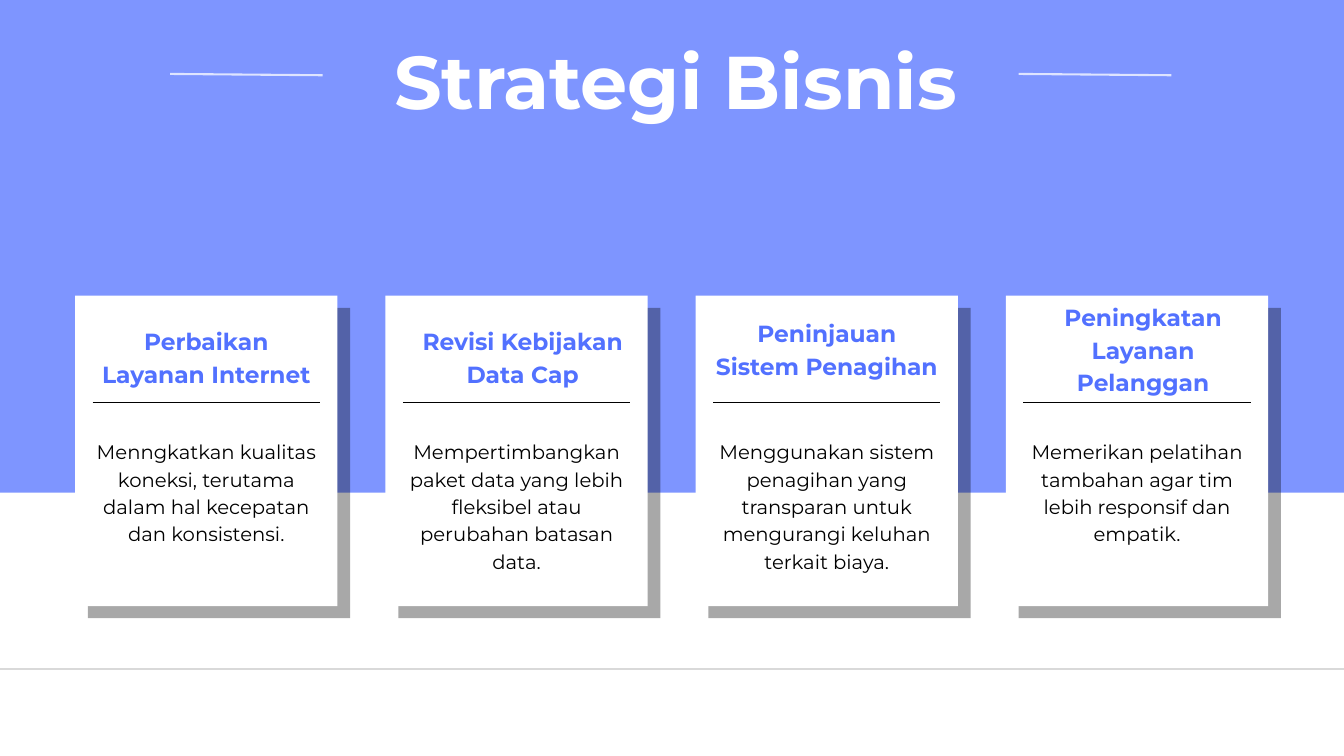
from dataclasses import dataclass

import pptx
import pptx.dml.color
import pptx.enum.shapes
import pptx.enum.text
import pptx.oxml.ns
import pptx.util
from pptx.util import Inches


@dataclass(frozen=True)
class Theme:
    """Colours, font and type sizes of the deck."""
    accent: str = "5271FF"
    paper: str = "FFFFFF"
    ink: str = "000000"
    rule: str = "D9D9D9"
    font: str = "Montserrat"
    title_size: float = 80
    heading_size: float = 25
    body_size: float = 21


THEME = Theme()

STRATEGIES = [
    ("Perbaikan Layanan Internet", 0.26, 0.4, 0.93,
     "Menngkatkan kualitas koneksi, terutama dalam hal kecepatan dan konsistensi."),
    ("Revisi Kebijakan Data Cap", 0.35, 0.4, 0.93,
     "Mempertimbangkan paket data yang lebih fleksibel atau perubahan batasan data."),
    ("Peninjauan Sistem Penagihan", 0.26, 0.28, 0.93,
     "Menggunakan sistem penagihan yang transparan untuk mengurangi keluhan terkait biaya."),
    ("Peningkatan Layanan Pelanggan", 0.35, 0.04, 1.41,
     "Memerikan pelatihan tambahan agar tim lebih responsif dan empatik."),
]


def rgb(value):
    """Return a colour object for a hex value."""
    return pptx.dml.color.RGBColor.from_string(value)


def append_element(parent, tag, attributes=None):
    """Append a new XML element to a parent element."""
    parent.append(parent.makeelement(pptx.oxml.ns.qn(tag), attributes or {}))


def set_opacity(shape, percent):
    """Make the colours of a shape or line partly transparent."""
    for color in shape.element.iter(pptx.oxml.ns.qn("a:srgbClr")):
        append_element(color, "a:alpha", {"val": str(percent * 1000)})


def add_panel(slide, left, top, width, height, color, opacity=100):
    """Add a borderless rectangle."""
    panel = slide.shapes.add_shape(
        pptx.enum.shapes.MSO_SHAPE.RECTANGLE,
        Inches(left), Inches(top), Inches(width), Inches(height))
    panel.shadow.inherit = False
    panel.fill.solid()
    panel.fill.fore_color.rgb = rgb(color)
    panel.line.fill.background()
    if opacity < 100:
        set_opacity(panel, opacity)


def add_rule(slide, start, end, color, weight, opacity=100):
    """Add a straight line without a shadow."""
    rule = slide.shapes.add_connector(
        pptx.enum.shapes.MSO_CONNECTOR.STRAIGHT,
        Inches(start[0]), Inches(start[1]), Inches(end[0]), Inches(end[1]))
    rule.line.color.rgb = rgb(color)
    rule.line.width = pptx.util.Pt(weight)
    append_element(rule.element.spPr, "a:effectLst")
    if opacity < 100:
        set_opacity(rule, opacity)


def write_text(box, text, size, color, leading, bold=False):
    """Fill a box with one centred paragraph."""
    frame = box.text_frame
    frame.text = text
    frame.word_wrap = True
    frame.auto_size = pptx.enum.text.MSO_AUTO_SIZE.NONE
    frame.vertical_anchor = pptx.enum.text.MSO_ANCHOR.TOP
    frame.margin_left = frame.margin_right = frame.margin_top = frame.margin_bottom = 0
    paragraph = frame.paragraphs[0]
    paragraph.alignment = pptx.enum.text.PP_ALIGN.CENTER
    paragraph.line_spacing = pptx.util.Pt(leading)
    font = paragraph.runs[0].font
    font.name = THEME.font
    font.size = pptx.util.Pt(size)
    font.bold = bold
    font.color.rgb = rgb(color)


def add_text(slide, left, top, width, height, *content, **style):
    """Add a text box with one centred paragraph."""
    box = slide.shapes.add_textbox(Inches(left), Inches(top), Inches(width), Inches(height))
    write_text(box, *content, **style)


def build_header(slide, left, top, width, height):
    """Place the coloured band, the title and its two side strokes."""
    add_panel(slide, left, top, width, height, THEME.accent, 74)
    title = slide.shapes.title
    title.left, title.top = Inches(left + 6.41), Inches(top + 0.91)
    title.width, title.height = Inches(8.79), Inches(1.16)
    write_text(title, "Strategi Bisnis", THEME.title_size, THEME.paper,
               THEME.title_size, bold=True)
    title.element.getparent().append(title.element)
    for stroke_left in (left + 3.28, left + 15.91):
        add_rule(slide, (stroke_left, top + 1.27), (stroke_left + 2.27, top + 1.29),
                 THEME.paper, 2.25, 75)


def build_card(slide, left, top, width, height, strategy):
    """Place one strategy card with its shadow, heading, rule and text."""
    heading, heading_left, heading_top, heading_height, body = strategy
    inset = 0.26
    inner = width - 2 * inset
    add_panel(slide, left + 0.19, top + 0.18, width, height, THEME.ink, 34)
    add_panel(slide, left, top, width, height, THEME.paper)
    add_text(slide, left + heading_left, top + heading_top, inner, heading_height,
             heading, THEME.heading_size, THEME.accent, 35, bold=True)
    add_rule(slide, (left + inset, top + 1.59), (left + width - inset, top + 1.59),
             THEME.ink, 1.5)
    add_text(slide, left + inset, top + 2.09, inner, 2.02,
             body, THEME.body_size, THEME.ink, 29.4)


def build_cards(slide, left, top, width, height):
    """Spread the strategy cards evenly over a row."""
    card_width = 3.9
    pitch = (width - card_width) / (len(STRATEGIES) - 1)
    for index, strategy in enumerate(STRATEGIES):
        build_card(slide, left + index * pitch, top, card_width, height, strategy)


def main():
    """Build and save the slide."""
    deck = pptx.Presentation()
    deck.slide_width, deck.slide_height = Inches(20), Inches(11.25)
    slide = deck.slides.add_slide(deck.slide_layouts[5])
    slide.background.fill.solid()
    slide.background.fill.fore_color.rgb = rgb(THEME.paper)
    build_header(slide, -0.75, -0.17, 21.5, 7.5)
    build_cards(slide, 1.12, 4.4, 17.75, 4.62)
    add_rule(slide, (-0.31, 9.95), (20.31, 9.95), THEME.rule, 2.25)
    deck.save("out.pptx")


if __name__ == "__main__":
    main()
